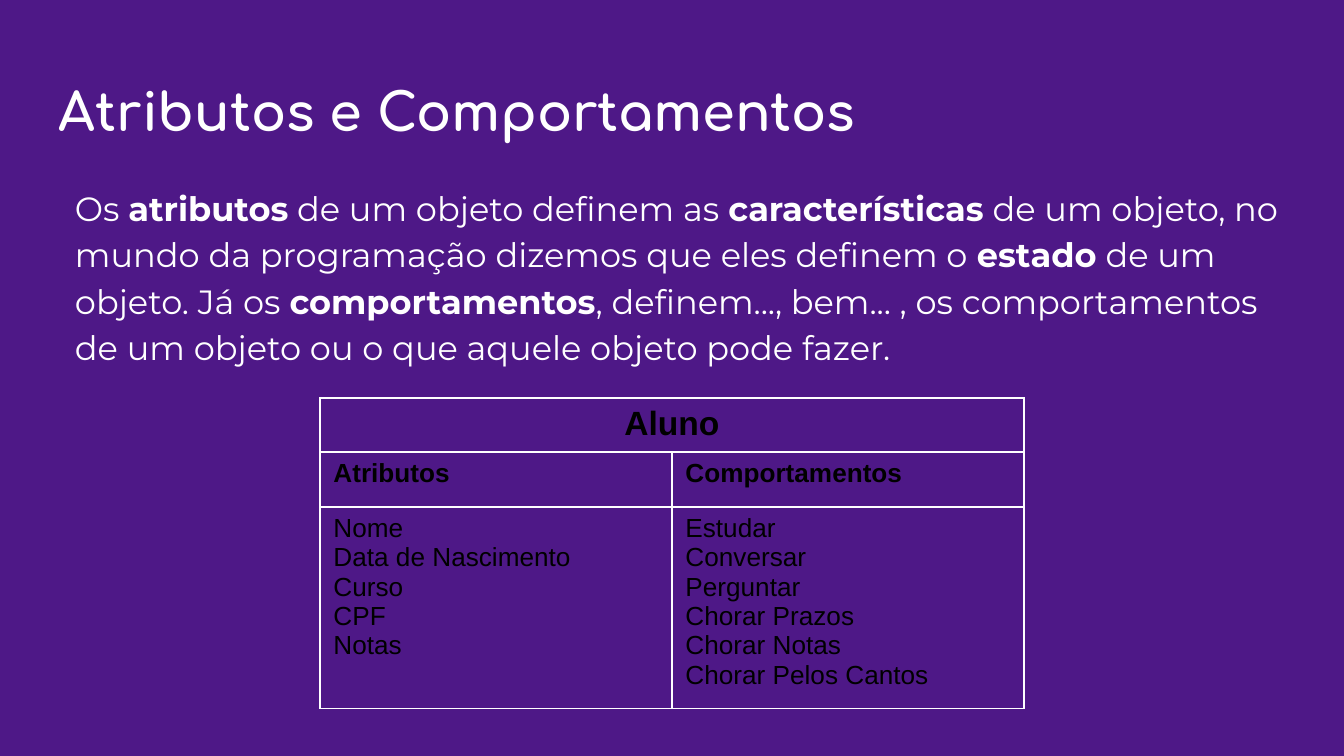
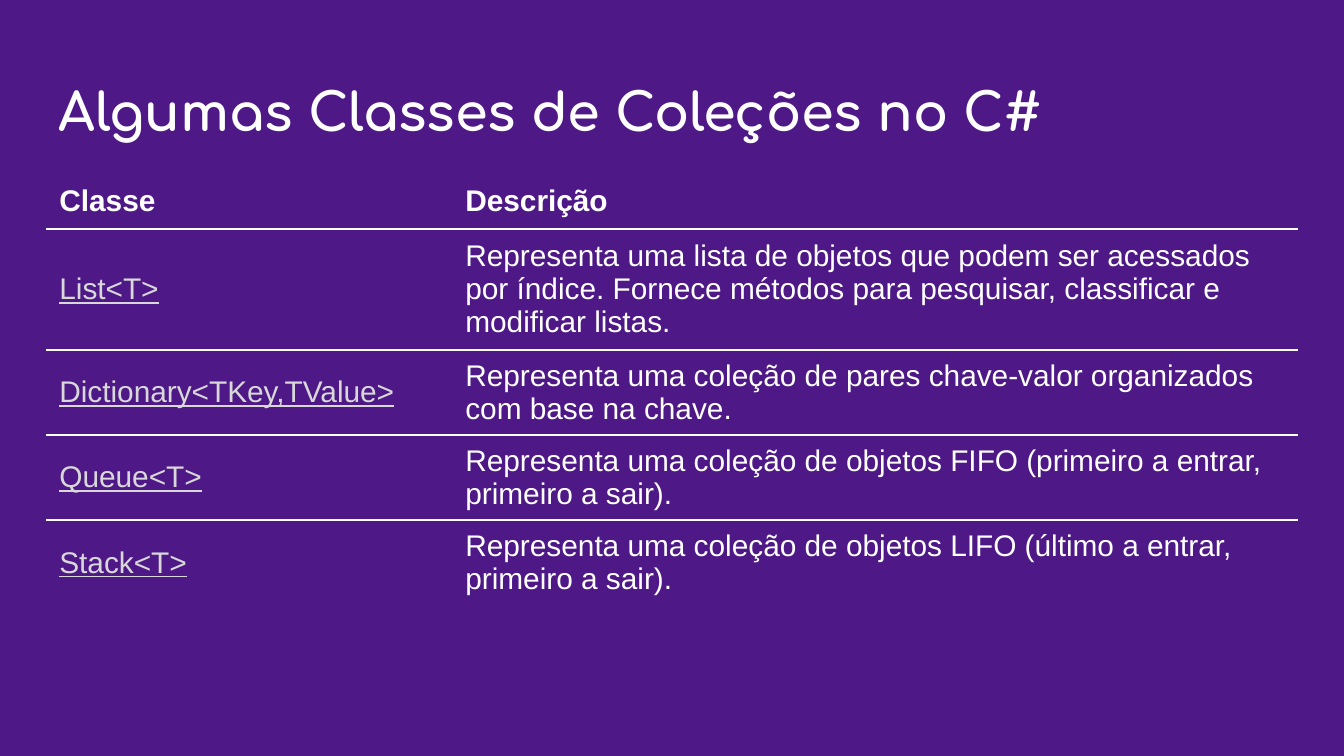
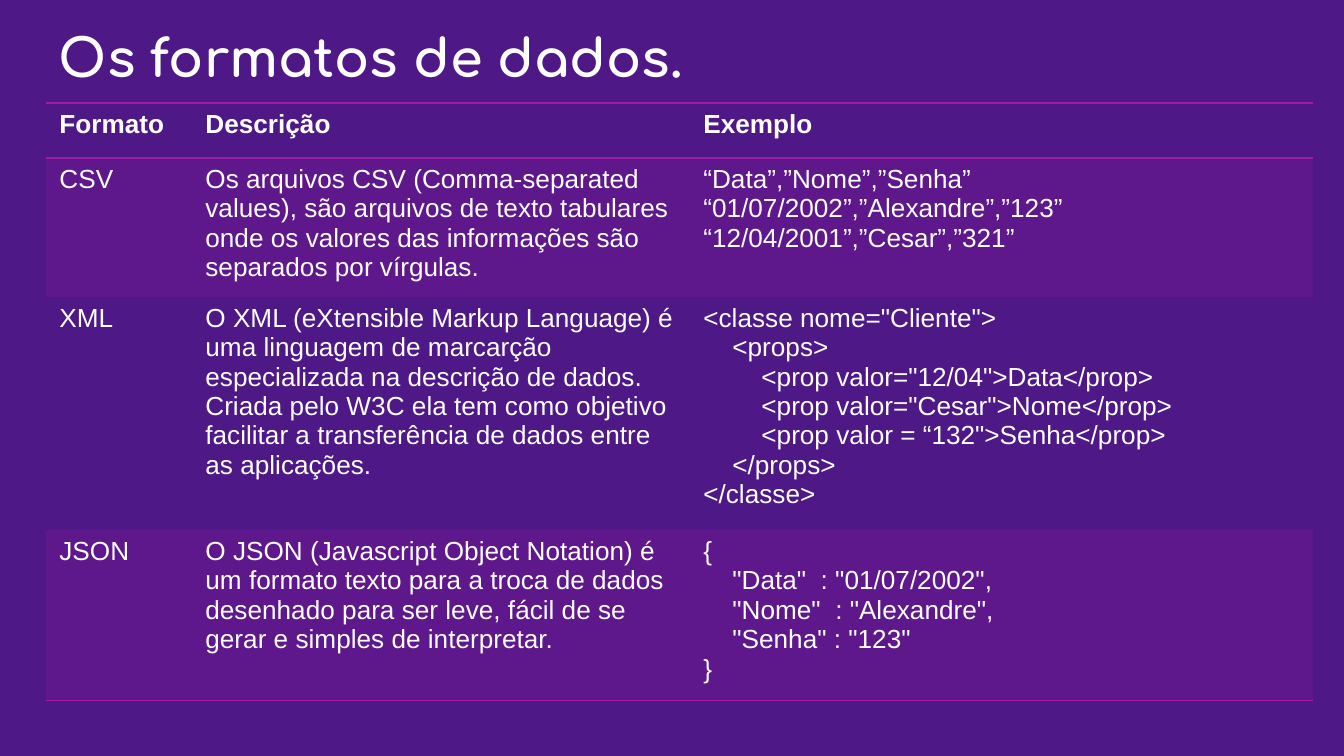
from dataclasses import dataclass

from pptx import Presentation
from pptx.dml.color import RGBColor
from pptx.enum.text import MSO_ANCHOR, PP_ALIGN
from pptx.oxml.ns import qn
from pptx.util import Emu, Pt
from lxml import etree

TOP, MIDDLE = MSO_ANCHOR.TOP, MSO_ANCHOR.MIDDLE
LEFT, CENTER = PP_ALIGN.LEFT, PP_ALIGN.CENTER


@dataclass(frozen=True)
class Theme:
    bg: str = "4E1887"
    white: str = "FFFFFF"
    black: str = "000000"
    link: str = "D8D8D8"
    accent: str = "9E1C9E"
    title_font: str = "Comfortaa"
    body_font: str = "Montserrat"
    table_font: str = "Arial"
    title_size: int = 28
    body_size: int = 18
    large: int = 16
    small: int = 14


T = Theme()
EMU_PER_PX = 914400 / 134.4
WIDTH, HEIGHT = 1344, 756
MARGIN, CONTENT_W = 46, 1252


def px(n):
    return Emu(round(n * EMU_PER_PX))


def set_font(font, name, size, color, bold=False, underline=False):
    font.name = name
    font.size = Pt(size)
    font.color.rgb = RGBColor.from_string(color)
    font.bold = bold
    font.underline = underline


# Slide parts
def add_text_frame(s, y, h):
    tf = s.shapes.add_textbox(px(MARGIN), px(y), px(CONTENT_W), px(h)).text_frame
    tf.word_wrap = True
    tf.margin_left = tf.margin_right = tf.margin_top = tf.margin_bottom = px(13)
    return tf


def add_slide(prs, title, title_y=66):
    s = prs.slides.add_slide(prs.slide_layouts[6])
    s.background.fill.solid()
    s.background.fill.fore_color.rgb = RGBColor.from_string(T.bg)
    p = add_text_frame(s, title_y, 84).paragraphs[0]
    p.text = title
    set_font(p.font, T.title_font, T.title_size, T.white, bold=True)
    return s


def add_body(s, y, h, text):
    """Add a paragraph in which the parts between asterisks are bold."""
    p = add_text_frame(s, y, h).paragraphs[0]
    p._p.get_or_add_pPr().set("marL", str(px(16)))
    p.line_spacing = 1.15
    set_font(p.font, T.body_font, T.body_size, T.white)
    for i, part in enumerate(text.split("*")):
        r = p.add_run()
        r.text = part
        set_font(r.font, T.body_font, T.body_size, T.white, bold=i % 2 == 1)


# Tables
def set_borders(cell, colors):
    """Draw left, right, top and bottom edges; None hides an edge."""
    tcPr = cell._tc.get_or_add_tcPr()
    for i, (side, color) in enumerate(zip("LRTB", colors)):
        ln = etree.Element(qn(f"a:ln{side}"), w=str(Pt(1)))
        if color:
            fill = etree.SubElement(ln, qn("a:solidFill"))
            etree.SubElement(fill, qn("a:srgbClr"), val=color)
        else:
            etree.SubElement(ln, qn("a:noFill"))
        tcPr.insert(i, ln)


def tint(cell, color, percent):
    cell.fill.solid()
    cell.fill.fore_color.rgb = RGBColor.from_string(color)
    clr = cell._tc.tcPr.find(f".//{qn('a:srgbClr')}")
    etree.SubElement(clr, qn("a:alpha"), val=str(percent * 1000))


def fill_cell(cell, text, size, color, bold, underline=False, align=LEFT):
    tf = cell.text_frame
    for i, line in enumerate(text.split("\n")):
        p = tf.add_paragraph() if i else tf.paragraphs[0]
        p.text = line
        p.alignment = align
        set_font(p.font, T.table_font, size, color, bold, underline)


def add_table(s, x, y, cols, rows, cells, style, h_lines, v_line=None,
              anchor=TOP, tinted=()):
    """style(r, c) gives text settings; h_lines maps row boundaries to colours."""
    table = s.shapes.add_table(len(rows), len(cols), px(x), px(y),
                               px(sum(cols)), px(sum(rows))).table
    table.first_row = table.horz_banding = False
    for column, w in zip(table.columns, cols):
        column.width = px(w)
    for row, h in zip(table.rows, rows):
        row.height = px(h)
    for r, texts in enumerate(cells):
        for c in range(len(cols)):
            cell = table.cell(r, c)
            cell.vertical_anchor = anchor
            if r in tinted:
                tint(cell, T.accent, 20)
            else:
                cell.fill.background()
            set_borders(cell, (v_line, v_line, h_lines.get(r), h_lines.get(r + 1)))
            if c < len(texts):
                fill_cell(cell, texts[c], **style(r, c))
        if len(texts) < len(cols):
            table.cell(r, len(texts) - 1).merge(table.cell(r, len(cols) - 1))


# Text settings of each table
def student_style(r, c):
    return dict(size=T.small if r else T.body_size, color=T.black,
                bold=r < 2, align=LEFT if r else CENTER)


def collection_style(r, c):
    is_link = r > 0 and c == 0
    return dict(size=T.large, color=T.link if is_link else T.white,
                bold=r == 0, underline=is_link)


def format_style(r, c):
    return dict(size=T.small, color=T.white, bold=r == 0)


# Content
ATTRIBUTES_TEXT = (
    "Os *atributos* de um objeto definem as *características* de um objeto, "
    "no mundo da programação dizemos que eles definem o *estado* de um objeto. "
    "Já os *comportamentos*, definem..., bem... , os comportamentos de um objeto "
    "ou o que aquele objeto pode fazer.")

STUDENT = [
    ["Aluno"],
    ["Atributos", "Comportamentos"],
    ["Nome\nData de Nascimento\nCurso\nCPF\nNotas",
     "Estudar\nConversar\nPerguntar\nChorar Prazos\nChorar Notas\n"
     "Chorar Pelos Cantos"],
]

COLLECTIONS = [
    ["Classe", "Descrição"],
    ["List<T>",
     "Representa uma lista de objetos que podem ser acessados por índice. "
     "Fornece métodos para pesquisar, classificar e modificar listas."],
    ["Dictionary<TKey,TValue>",
     "Representa uma coleção de pares chave-valor organizados com base na chave."],
    ["Queue<T>",
     "Representa uma coleção de objetos FIFO (primeiro a entrar, primeiro a sair)."],
    ["Stack<T>",
     "Representa uma coleção de objetos LIFO (último a entrar, primeiro a sair)."],
]

CSV_CODE = """“Data”,”Nome”,”Senha”
“01/07/2002”,”Alexandre”,”123”
“12/04/2001”,”Cesar”,”321”"""

XML_CODE = """<classe nome="Cliente">
    <props>
        <prop valor="12/04">Data</prop>
        <prop valor="Cesar">Nome</prop>
        <prop valor = “132">Senha</prop>
    </props>
</classe>"""

JSON_CODE = """{
    "Data"  : "01/07/2002",
    "Nome"  : "Alexandre",
    "Senha" : "123"
}"""

FORMATS = [
    ["Formato", "Descrição", "Exemplo"],
    ["CSV",
     "Os arquivos CSV (Comma-separated values), são arquivos de texto tabulares "
     "onde os valores das informações são separados por vírgulas.", CSV_CODE],
    ["XML",
     "O XML (eXtensible Markup Language) é uma linguagem de marcarção "
     "especializada na descrição de dados. Criada pelo W3C ela tem como objetivo "
     "facilitar a transferência de dados entre as aplicações.", XML_CODE],
    ["JSON",
     "O JSON (Javascript Object Notation) é um formato texto para a troca de "
     "dados desenhado para ser leve, fácil de se gerar e simples de interpretar.",
     JSON_CODE],
]


def main():
    prs = Presentation()
    prs.slide_width, prs.slide_height = px(WIDTH), px(HEIGHT)

    # Attributes and behaviours
    s = add_slide(prs, "Atributos e Comportamentos")
    add_body(s, 169, 208, ATTRIBUTES_TEXT)
    add_table(s, 320, 398, [352, 352], [54, 55, 190], STUDENT, student_style,
              dict.fromkeys(range(4), T.white), v_line=T.white)

    # Collection classes
    s = add_slide(prs, "Algumas Classes de Coleções no C#")
    add_table(s, MARGIN, 174, [406, 846], [55, 113, 80, 80, 80], COLLECTIONS,
              collection_style, dict.fromkeys(range(1, 5), T.white), anchor=MIDDLE)

    # Data formats
    s = add_slide(prs, "Os formatos de dados.", title_y=12)
    add_table(s, MARGIN, 103, [146, 498, 623], [55, 132, 219, 160], FORMATS,
              format_style, dict.fromkeys((0, 1, 4), T.accent), tinted=(1, 3))

    prs.save("out.pptx")


if __name__ == "__main__":
    main()
